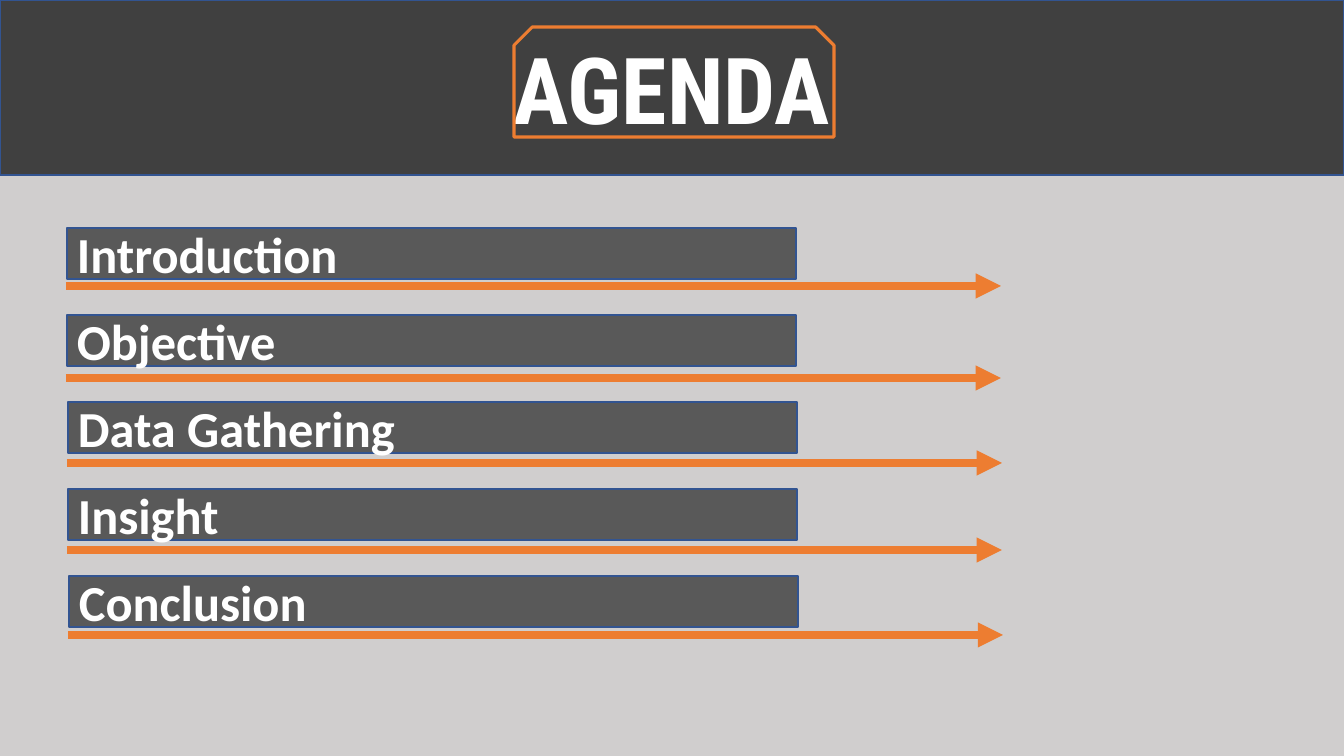
import pptx
import pptx.dml.color
import pptx.enum.shapes
import pptx.enum.text
import pptx.oxml
import pptx.oxml.ns
import pptx.util

RGBColor = pptx.dml.color.RGBColor
BACKGROUND = RGBColor(0xD0, 0xCE, 0xCE)
BANNER = RGBColor(0x40, 0x40, 0x40)
BAR = RGBColor(0x59, 0x59, 0x59)
OUTLINE = RGBColor(0x32, 0x54, 0x91)
ORANGE = RGBColor(0xED, 0x7D, 0x31)
WHITE = RGBColor(0xFF, 0xFF, 0xFF)

PX = 914400 / 100.8
SLIDE_SIZE = (1344, 756)
SHAPES = pptx.enum.shapes.MSO_SHAPE
ALIGN = pptx.enum.text.PP_ALIGN

# Each agenda item with the distance from its bar's top down to its arrow.
AGENDA = [
    ("Introduction", 58),
    ("Objective", 63),
    ("Data Gathering", 61),
    ("Insight", 61),
    ("Conclusion", 59),
]
ROW_PITCH = 87
BAR_SIZE = (729, 51)
ARROW_LENGTH = 935

TITLE_FONT = {"name": "Roboto Condensed", "size": pptx.util.Pt(66), "bold": True}
ITEM_FONT = {"name": "Calibri", "size": pptx.util.Pt(36), "bold": True}


def emu(*lengths):
    """Turn px lengths into EMU."""
    return [pptx.util.Emu(round(length * PX)) for length in lengths]


def set_line(shape, color, points):
    shape.line.color.rgb = color
    shape.line.width = pptx.util.Pt(points)


def fill_panel(shape, color):
    shape.fill.solid()
    shape.fill.fore_color.rgb = color
    set_line(shape, OUTLINE, 1)


def write(shape, text, font, align):
    frame = shape.text_frame
    frame.word_wrap = True
    frame.auto_size = pptx.enum.text.MSO_AUTO_SIZE.NONE
    frame.vertical_anchor = pptx.enum.text.MSO_ANCHOR.MIDDLE
    para = frame.paragraphs[0]
    para.alignment = align
    span = para.add_run()
    span.text = text
    for name, value in font.items():
        setattr(span.font, name, value)
    span.font.color.rgb = WHITE


def add_banner(page, left, top, width, height):
    title = page.shapes.title
    places = emu(left, top, width, height)
    for name, value in zip(("left", "top", "width", "height"), places):
        setattr(title, name, value)
    fill_panel(title, BANNER)
    write(title, "AGENDA", TITLE_FONT, ALIGN.CENTER)


def add_title_frame(page, left, top, width, height):
    frame = page.shapes.add_shape(
        SHAPES.SNIP_2_SAME_RECTANGLE, *emu(left, top, width, height))
    frame.shadow.inherit = False
    frame.fill.background()
    set_line(frame, ORANGE, 2.25)


def add_arrow(page, left, y, length):
    arrow = page.shapes.add_connector(
        pptx.enum.shapes.MSO_CONNECTOR.STRAIGHT, *emu(left, y, left + length, y))
    set_line(arrow, ORANGE, 6)
    tail = pptx.oxml.parse_xml(
        f'<a:tailEnd {pptx.oxml.ns.nsdecls("a")} type="triangle"/>')
    arrow.line._get_or_add_ln().append(tail)
    effects = pptx.oxml.parse_xml(f'<a:effectLst {pptx.oxml.ns.nsdecls("a")}/>')
    arrow._element.spPr.append(effects)


def add_item(page, left, top, label, arrow_drop):
    """Place one labelled bar and the arrow that underlines it."""
    add_arrow(page, left - 1, top + arrow_drop, ARROW_LENGTH)
    bar = page.shapes.add_shape(SHAPES.RECTANGLE, *emu(left, top, *BAR_SIZE))
    bar.shadow.inherit = False
    fill_panel(bar, BAR)
    write(bar, label, ITEM_FONT, ALIGN.LEFT)


def add_agenda(page, left, top):
    """Stack the items, each pair stepping one px to the right."""
    for row, (label, arrow_drop) in enumerate(AGENDA):
        add_item(page, left + row // 2, top + row * ROW_PITCH, label, arrow_drop)


def main():
    deck = pptx.Presentation()
    deck.slide_width, deck.slide_height = emu(*SLIDE_SIZE)
    page = deck.slides.add_slide(deck.slide_layouts.get_by_name("Title Only"))
    page.background.fill.solid()
    page.background.fill.fore_color.rgb = BACKGROUND
    add_banner(page, 0, 0, SLIDE_SIZE[0], 175)
    add_agenda(page, 67, 228)
    add_title_frame(page, 514, 27, 320, 110)
    deck.save("out.pptx")


if __name__ == "__main__":
    main()
